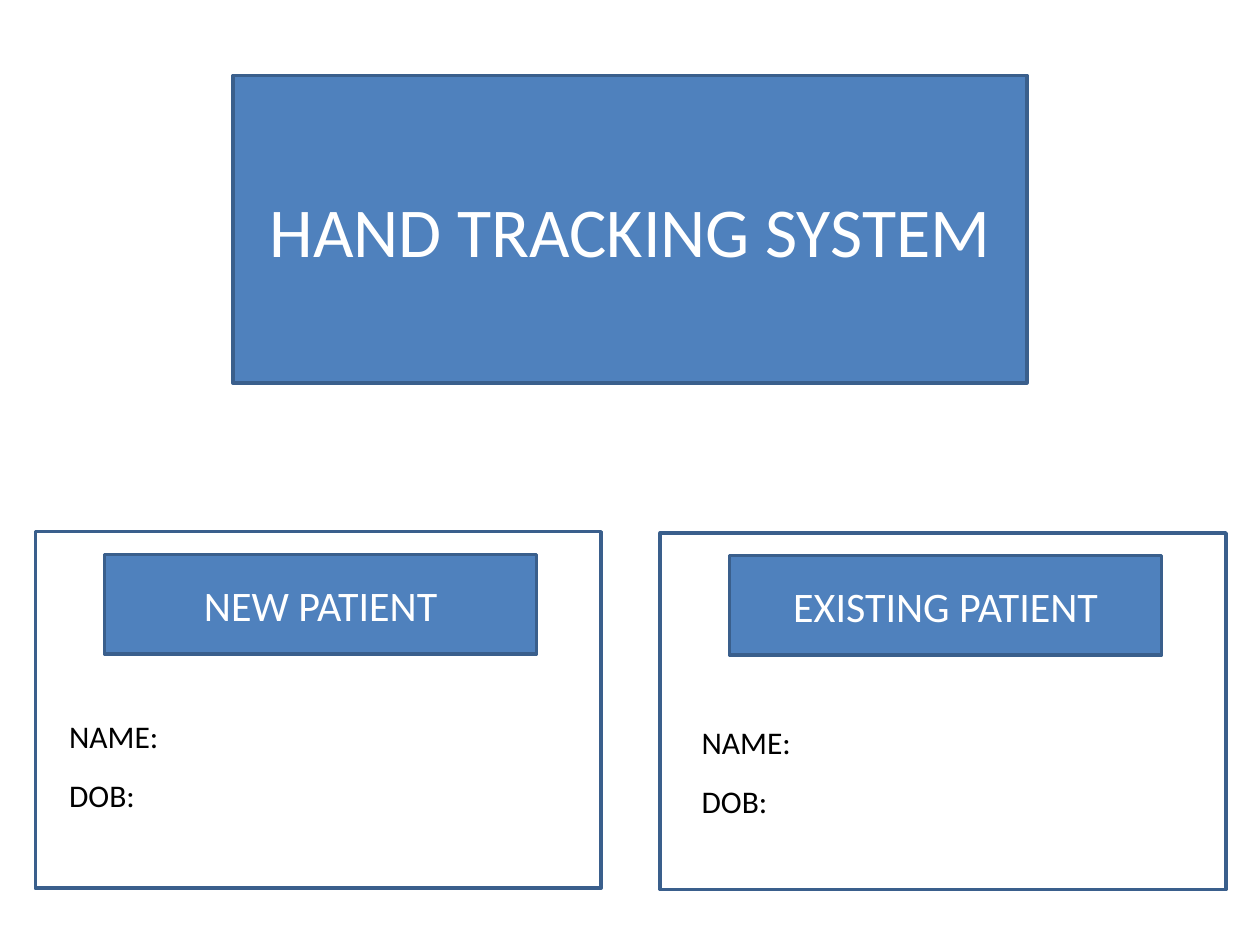
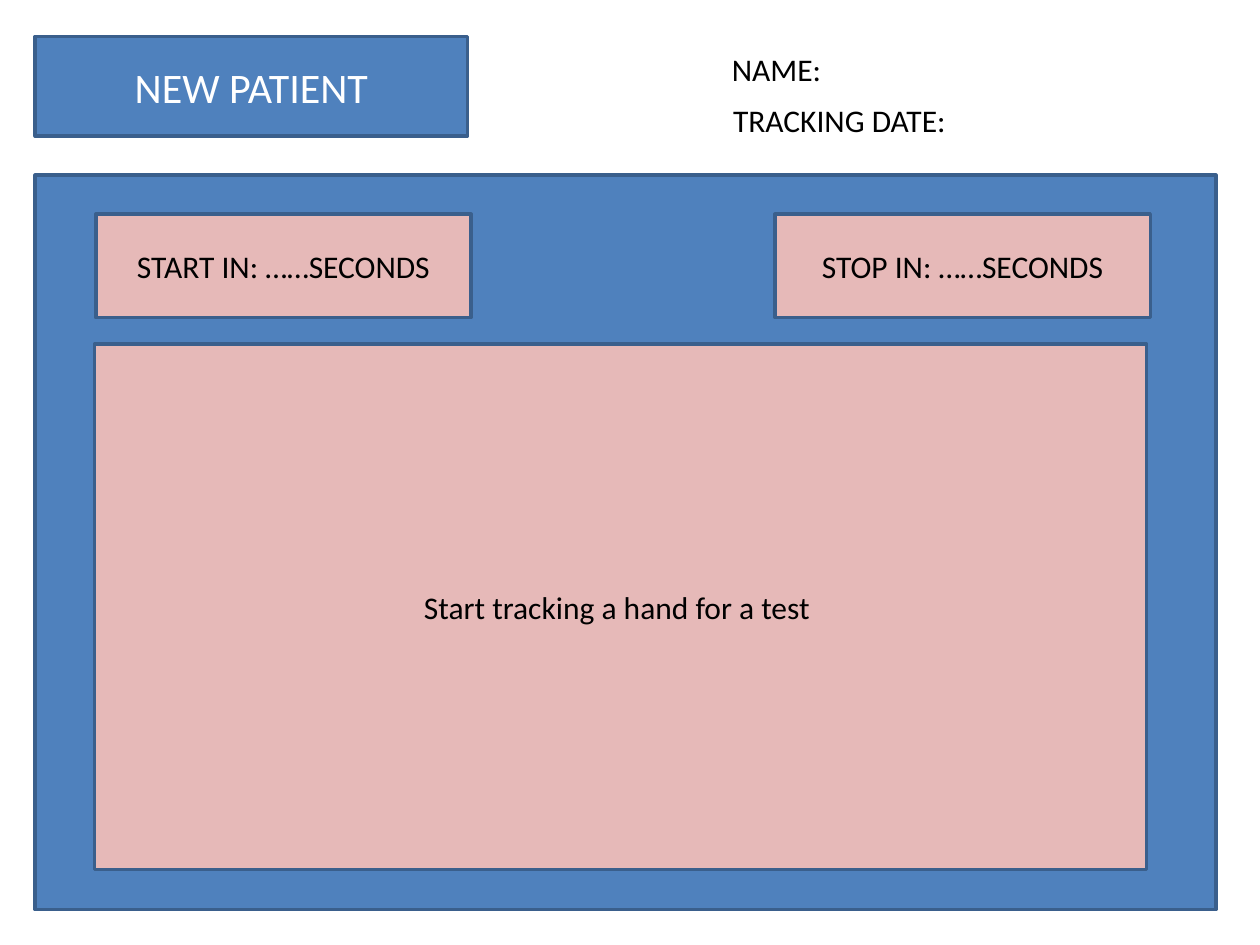
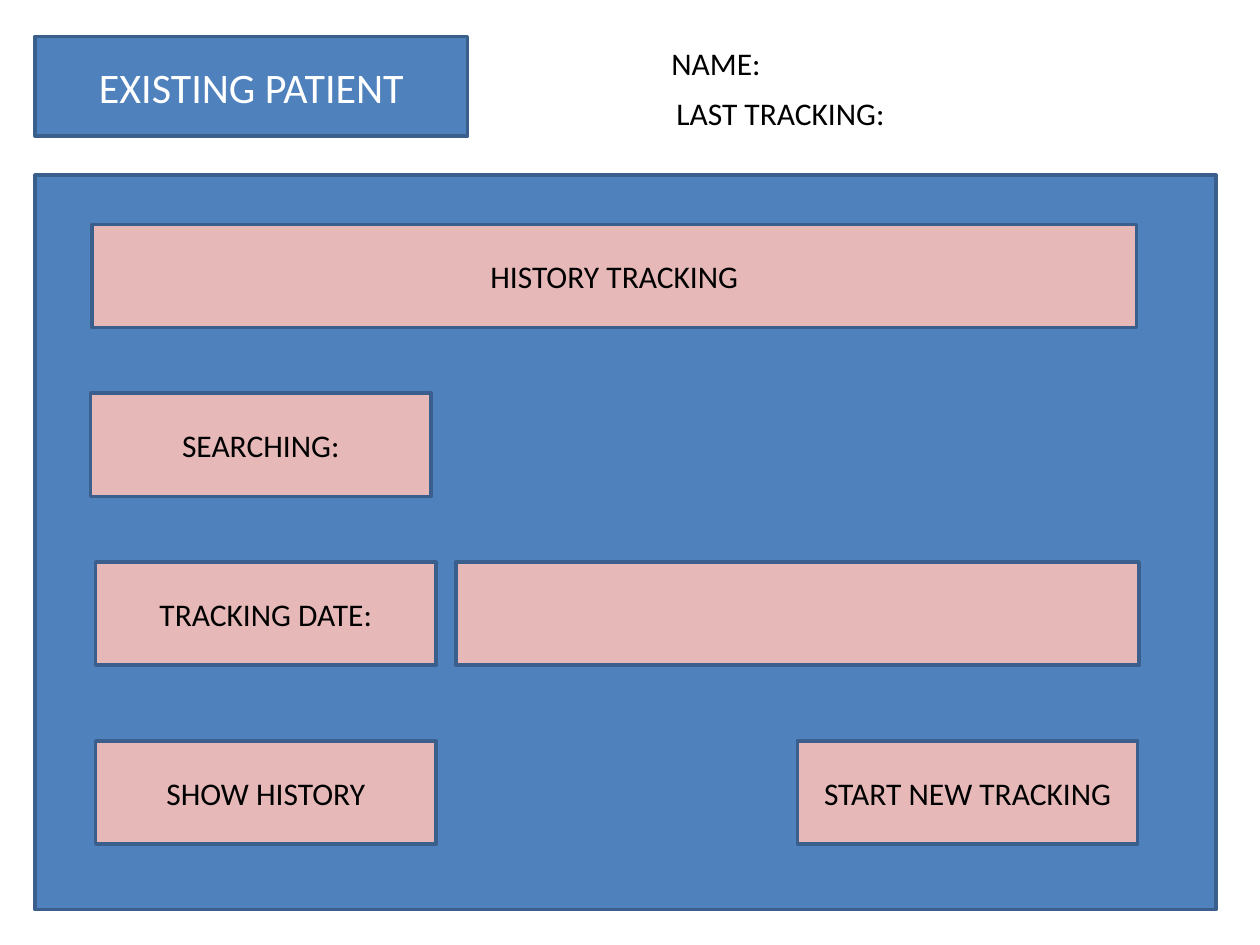
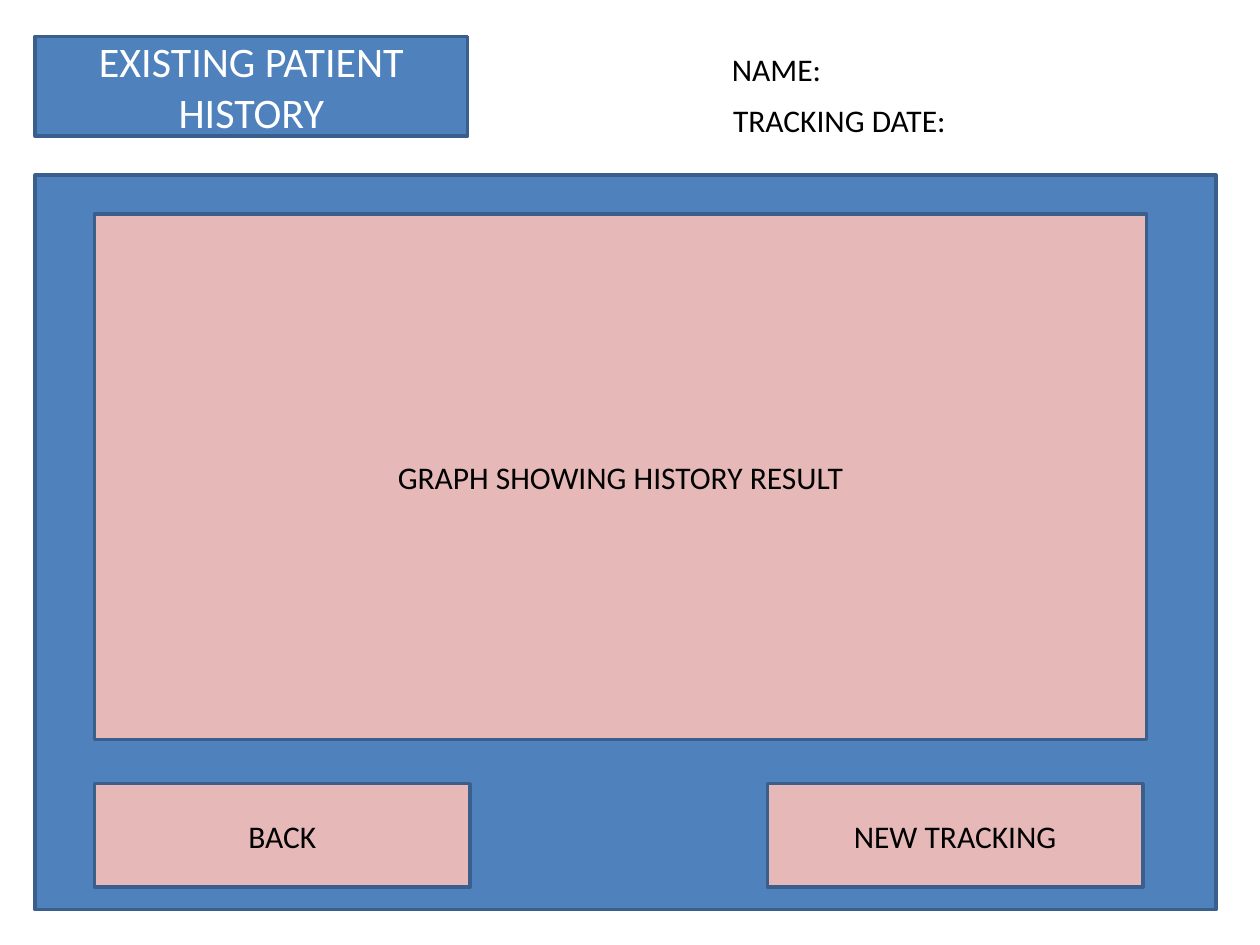
from dataclasses import dataclass

from pptx import Presentation
from pptx import util as u
from pptx.dml.color import RGBColor
from pptx.enum import shapes, text


@dataclass(frozen=True)
class Theme:
    blue: RGBColor = RGBColor.from_string("4F81BD")
    edge: RGBColor = RGBColor.from_string("3A5F8C")
    pink: RGBColor = RGBColor.from_string("E6B9B8")
    white: RGBColor = RGBColor.from_string("FFFFFF")
    black: RGBColor = RGBColor.from_string("000000")
    font: str = "Calibri"
    title: int = 40
    heading: int = 24
    body: int = 18
    line: int = 2


T = Theme()

# Shared boxes (left, top, width, height) and sizes, in inches
TITLE = (1.85, 0.6, 6.3, 2.44)
HEADING = (0.28, 0.29, 3.43, 0.79)
PANEL = (0.28, 1.39, 9.37, 5.83)
CARD_SIZE = (4.49, 2.83)
HEADING_SIZE = HEADING[2:]
VIEW_SIZE = (8.35, 4.17)
BUTTON_H = 0.82
WIDE_BUTTON = (2.98, BUTTON_H)
BUTTON = (2.7, BUTTON_H)
LABEL_H = 0.4
NAME_W = 1.18


def inside(box, dx, dy, size):
    """Box of the given size, offset from the corner of another box."""
    return (box[0] + dx, box[1] + dy, *size)


def style_text(tf, words, size, color, align):
    tf.text = words
    p = tf.paragraphs[0]
    p.alignment = align
    for r in p.runs:
        r.font.name, r.font.size = T.font, u.Pt(size)
        r.font.color.rgb = color


def add_rect(s, box, fill=None, words="", size=T.body, color=T.black):
    sp = s.shapes.add_shape(shapes.MSO_SHAPE.RECTANGLE, *map(u.Inches, box))
    sp.shadow.inherit = False
    if fill is None:
        sp.fill.background()
    else:
        sp.fill.solid()
        sp.fill.fore_color.rgb = fill
    sp.line.color.rgb = T.edge
    sp.line.width = u.Pt(T.line)
    if words:
        tf = sp.text_frame
        tf.word_wrap = True
        tf.vertical_anchor = text.MSO_ANCHOR.MIDDLE
        style_text(tf, words, size, color, text.PP_ALIGN.CENTER)


def add_heading(s, box, words, size=T.heading):
    add_rect(s, box, T.blue, words, size, T.white)


def add_label(s, x, y, words, width=NAME_W):
    sp = s.shapes.add_textbox(*map(u.Inches, (x, y, width, LABEL_H)))
    tf = sp.text_frame
    tf.word_wrap = True
    tf.auto_size = text.MSO_AUTO_SIZE.SHAPE_TO_FIT_TEXT
    style_text(tf, words, T.body, T.black, text.PP_ALIGN.LEFT)


def patient_card(s, box, heading, label_dx, label_dy):
    """Outlined card with a heading and two form labels."""
    add_heading(s, inside(box, 0.55, 0.18, HEADING_SIZE), heading)
    add_rect(s, box)
    for i, words in enumerate(("NAME:", "DOB:")):
        add_label(s, box[0] + label_dx, box[1] + label_dy + i * 0.47, words)


def patient_header(s, heading, x=5.71, y=0.35, second="TRACKING DATE:",
                   indent=0.01, width=2.04):
    """Heading at left, two patient labels at right."""
    add_heading(s, HEADING, heading)
    add_label(s, x, y, "NAME:")
    add_label(s, x + indent, y + 0.4, second, width)


def panel(s, box, parts):
    """Blue panel; each part is (dx, dy, size, words) from its corner."""
    add_rect(s, box, T.blue)
    for dx, dy, size, words in parts:
        add_rect(s, inside(box, dx, dy, size), T.pink, words)


def start_slide(s):
    add_heading(s, TITLE, "HAND TRACKING SYSTEM", T.title)
    patient_card(s, (0.28, 4.22, *CARD_SIZE), "NEW PATIENT", 0.17, 1.42)
    patient_card(s, (5.24, 4.23, *CARD_SIZE), "EXISTING PATIENT", 0.23, 1.46)


def new_patient_slide(s):
    patient_header(s, "NEW PATIENT")
    panel(s, PANEL, [
        (0.47, 1.34, VIEW_SIZE, "Start tracking a hand for a test "),
        (0.48, 0.31, WIDE_BUTTON, "START IN: ……SECONDS"),
        (5.87, 0.31, WIDE_BUTTON, "STOP IN: ……SECONDS"),
    ])


def existing_patient_slide(s):
    patient_header(s, "EXISTING PATIENT", 5.23, 0.3, "LAST TRACKING:",
                   0.04, 2.17)
    panel(s, PANEL, [
        (0.45, 0.39, (8.29, BUTTON_H), "HISTORY TRACKING"),
        (0.44, 1.73, BUTTON, "SEARCHING:"),
        (0.48, 3.07, BUTTON, "TRACKING DATE:"),
        (3.34, 3.07, (5.42, BUTTON_H), ""),
        (0.48, 4.49, BUTTON, "SHOW HISTORY"),
        (6.05, 4.49, BUTTON, "START NEW TRACKING"),
    ])


def history_slide(s):
    patient_header(s, "EXISTING PATIENT HISTORY")
    panel(s, PANEL, [
        (0.47, 0.31, VIEW_SIZE, "GRAPH SHOWING HISTORY RESULT"),
        (0.47, 4.83, WIDE_BUTTON, "BACK"),
        (5.81, 4.83, WIDE_BUTTON, "NEW TRACKING"),
    ])


def main():
    prs = Presentation()
    prs.slide_width, prs.slide_height = u.Inches(10), u.Inches(7.5)
    blank = prs.slide_layouts[6]
    for build in (start_slide, new_patient_slide, existing_patient_slide,
                  history_slide):
        build(prs.slides.add_slide(blank))
    prs.save("out.pptx")


if __name__ == "__main__":
    main()
